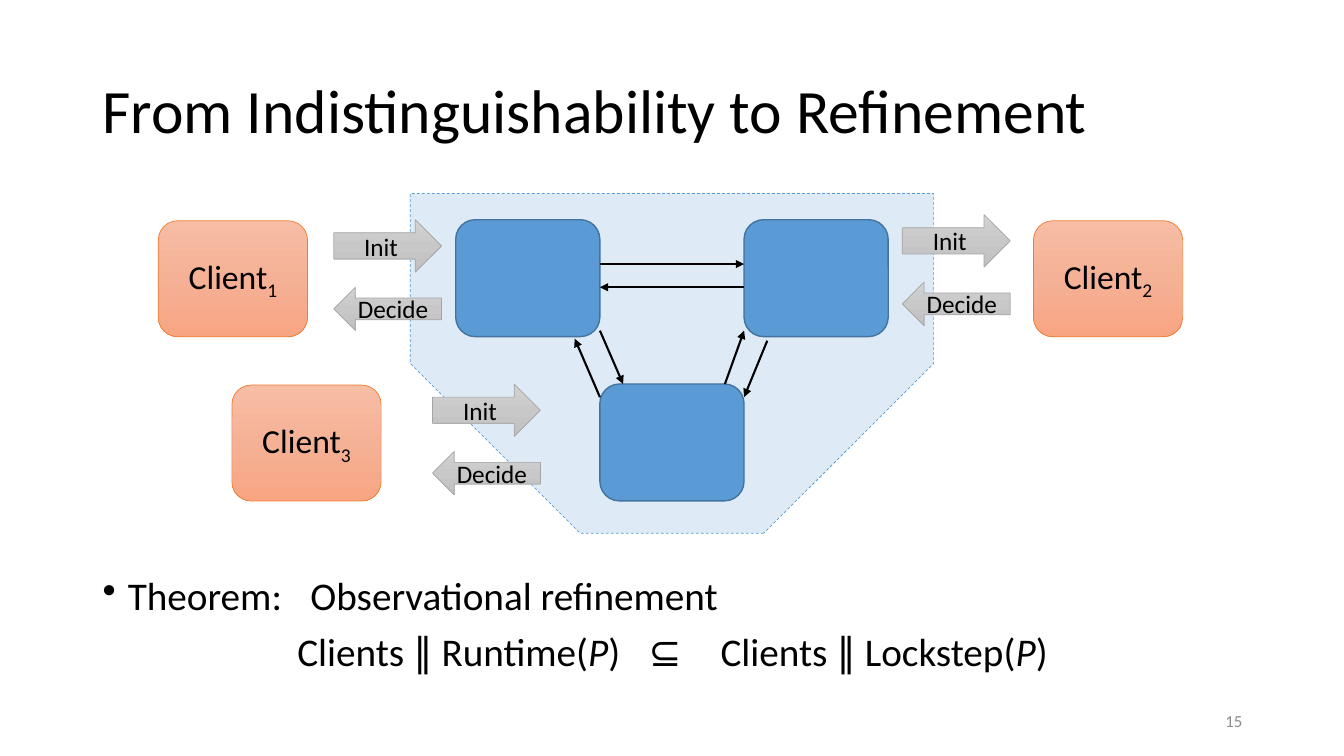
import copy
import dataclasses

import pptx
import pptx.dml.color
import pptx.enum.dml
import pptx.enum.shapes
import pptx.enum.text
import pptx.oxml
import pptx.oxml.ns
import pptx.util

Inches = pptx.util.Inches
Shapes = pptx.enum.shapes.MSO_SHAPE
Align = pptx.enum.text.PP_ALIGN
Anchor = pptx.enum.text.MSO_ANCHOR

FONT = "Calibri"
BLACK = "000000"
ORANGE_SHADES = ("F7BDA5", "F5B196", "F8A582")
GRAY_SHADES = ("D2D2D2", "C8C8C8", "C0C0C0")
PROCESS_WIDTH, PROCESS_HEIGHT = 1.43, 1.16
CLIENT_WIDTH, CLIENT_HEIGHT = 1.48, 1.15
CALL_WIDTH, INIT_HEIGHT, DECIDE_HEIGHT = 1.07, 0.52, 0.43
DECIDE_OFFSET = 0.67


@dataclasses.dataclass
class Client:
    number: str
    left: float
    top: float
    calls_left: float
    calls_top: float


@dataclasses.dataclass
class Message:
    start: tuple[float, float]
    end: tuple[float, float]


@dataclasses.dataclass
class Span:
    text: str
    italic: bool = False
    subscript: bool = False


CLIENTS = [
    Client("1", 1.57, 2.19, 3.31, 2.18),
    Client("2", 10.25, 2.19, 8.95, 2.13),
    Client("3", 2.3, 3.82, 4.29, 3.81),
]
PROCESSES = [(4.52, 2.18), (7.38, 2.18), (5.95, 3.81)]
MESSAGES = [
    Message((5.95, 2.62), (7.38, 2.62)),
    Message((7.38, 2.85), (5.95, 2.85)),
    Message((5.95, 3.28), (6.18, 3.81)),
    Message((5.95, 3.94), (5.7, 3.36)),
    Message((7.19, 3.81), (7.38, 3.28)),
    Message((7.61, 3.38), (7.38, 3.94)),
]


def color(value: str):
    return pptx.dml.color.RGBColor.from_string(value)


def add_element(parent, tag: str, **attributes: str):
    element = pptx.oxml.parse_xml(f"<{tag} {pptx.oxml.ns.nsdecls('a')}/>")
    for name, value in attributes.items():
        element.set(name, value)
    parent.append(element)


def write(para, spans: list[Span], size: float, align=Align.LEFT, shade: str = BLACK):
    para.alignment = align
    para.font.name = FONT
    para.font.size = pptx.util.Pt(size)
    para.font.color.rgb = color(shade)
    for span in spans:
        run = para.add_run()
        run.text = span.text
        if span.italic:
            run.font.italic = True
        if span.subscript:
            run.font._element.set("baseline", "-25000")


def add_text_box(page, left: float, top: float, width: float, height: float, anchor):
    box = page.shapes.add_textbox(Inches(left), Inches(top), Inches(width), Inches(height))
    box.text_frame.word_wrap = True
    box.text_frame.vertical_anchor = anchor
    return box.text_frame


def fill_gradient(shape, shades: tuple[str, str, str]):
    shape.fill.gradient()
    shape.fill.gradient_angle = 270
    stop_list = shape._element.spPr.find(".//" + pptx.oxml.ns.qn("a:gsLst"))
    stop_list.insert(1, copy.deepcopy(stop_list[0]))
    for index, (stop, shade) in enumerate(zip(shape.fill.gradient_stops, shades)):
        stop.position = index / 2
        stop.color.rgb = color(shade)


def add_shape(page, kind, left: float, top: float, width: float, height: float,
              fill: str | tuple[str, str, str], line: str, line_width: float = 0.5):
    shape = page.shapes.add_shape(kind, Inches(left), Inches(top), Inches(width), Inches(height))
    shape.shadow.inherit = False
    if isinstance(fill, str):
        shape.fill.solid()
        shape.fill.fore_color.rgb = color(fill)
    else:
        fill_gradient(shape, fill)
    shape.line.color.rgb = color(line)
    shape.line.width = pptx.util.Pt(line_width)
    return shape


def label(shape, spans: list[Span], size: float):
    frame = shape.text_frame
    frame.margin_left = frame.margin_right = 0
    frame.margin_top = frame.margin_bottom = 0
    frame.vertical_anchor = Anchor.MIDDLE
    write(frame.paragraphs[0], spans, size, Align.CENTER)


def add_message(page, message: Message):
    points = [Inches(value) for value in message.start + message.end]
    arrow = page.shapes.add_connector(pptx.enum.shapes.MSO_CONNECTOR.STRAIGHT, *points)
    arrow.line.color.rgb = color(BLACK)
    arrow.line.width = pptx.util.Pt(1.5)
    add_element(arrow.line._get_or_add_ln(), "a:tailEnd", type="triangle")
    add_element(arrow._element.spPr, "a:effectLst")


def add_client(page, client: Client):
    box = add_shape(page, Shapes.ROUNDED_RECTANGLE, client.left, client.top,
                    CLIENT_WIDTH, CLIENT_HEIGHT, ORANGE_SHADES, "ED7D31")
    label(box, [Span("Client"), Span(client.number, subscript=True)], 24)
    calls = [
        ("Init", Shapes.RIGHT_ARROW, 0, INIT_HEIGHT),
        ("Decide", Shapes.LEFT_ARROW, DECIDE_OFFSET, DECIDE_HEIGHT),
    ]
    for name, kind, offset, height in calls:
        arrow = add_shape(page, kind, client.calls_left, client.calls_top + offset,
                          CALL_WIDTH, height, GRAY_SHADES, "A5A5A5")
        label(arrow, [Span(name)], 18)


def add_theorem(page):
    frame = add_text_box(page, 0.92, 5.67, 11.5, 1.34, Anchor.TOP)
    theorem, formula = frame.paragraphs[0], frame.add_paragraph()
    write(theorem, [Span("Theorem:\u2002 Observational refinement")], 28)
    write(formula, [
        Span("Clients ∥ Runtime("), Span("P", italic=True),
        Span(")\u2002 ⊆\u2003Clients ∥ Lockstep("), Span("P", italic=True), Span(")"),
    ], 28, Align.CENTER)
    for para in (theorem, formula):
        para.line_spacing = 0.9
        para.space_before = pptx.util.Pt(10)
    properties = theorem._element.get_or_add_pPr()
    properties.set("marL", str(Inches(0.25)))
    properties.set("indent", str(Inches(-0.25)))
    bullet = pptx.oxml.parse_xml(f'<a:buChar {pptx.oxml.ns.nsdecls("a")} char="•"/>')
    properties.find(pptx.oxml.ns.qn("a:defRPr")).addprevious(bullet)


deck = pptx.Presentation()
deck.slide_width, deck.slide_height = Inches(13.33), Inches(7.5)
page = deck.slides.add_slide(deck.slide_layouts[6])

runtime = add_shape(page, Shapes.SNIP_2_SAME_RECTANGLE, 4.07, 1.92, 5.19, 3.37, "DEEBF7", "5B9BD5")
runtime.adjustments[0] = 0.5
runtime.rotation = 180
runtime.line.dash_style = pptx.enum.dml.MSO_LINE.DASH

title = add_text_box(page, 0.92, 0.4, 11.5, 1.45, Anchor.MIDDLE).paragraphs[0]
write(title, [Span("From Indistinguishability to Refinement")], 44)
title.line_spacing = 0.9
add_theorem(page)
page_number = add_text_box(page, 9.42, 6.95, 3, 0.4, Anchor.MIDDLE).paragraphs[0]
write(page_number, [Span("15")], 12, Align.RIGHT, "8C8C8C")

for left, top in PROCESSES:
    add_shape(page, Shapes.ROUNDED_RECTANGLE, left, top,
              PROCESS_WIDTH, PROCESS_HEIGHT, "5B9BD5", "43739E", 1)
for message in MESSAGES:
    add_message(page, message)
for client in CLIENTS:
    add_client(page, client)

deck.save("out.pptx")
